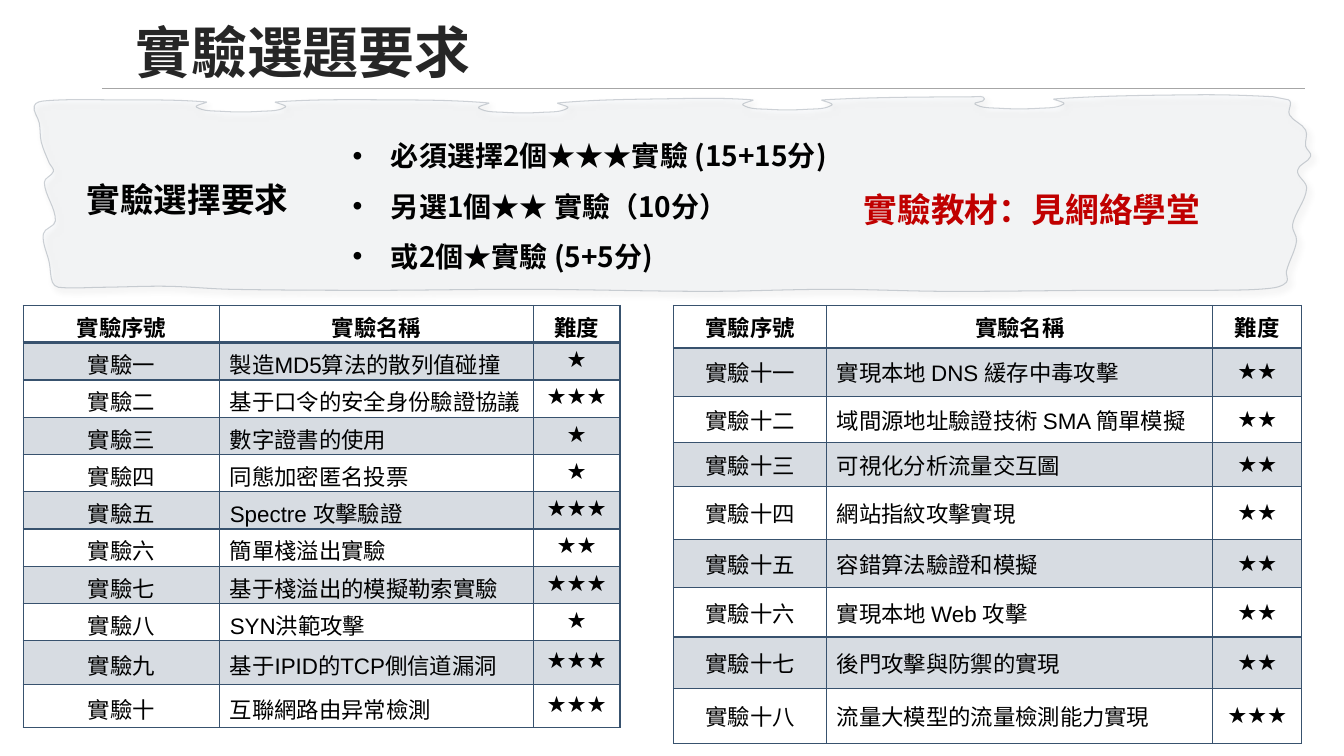
from math import cos, dist, radians, sin

from lxml import etree
from pptx import Presentation
from pptx.dml.color import RGBColor
from pptx.enum import text as tx
from pptx.oxml import ns
from pptx.util import Inches, Pt

WHITE = RGBColor(0xFF, 0xFF, 0xFF)
BLACK = RGBColor(0, 0, 0)
DARK = RGBColor(0x26, 0x26, 0x26)
RED = RGBColor(0xC0, 0, 0)
GREY = RGBColor(0xA6, 0xA6, 0xA6)
PAPER = RGBColor(0xCC, 0xD8, 0xE5)
EDGE = RGBColor(0x2A, 0x3D, 0x52)
NAVY = RGBColor(0x38, 0x52, 0x6E)
HAN = "Noto Sans CJK SC"
MID = tx.PP_ALIGN.CENTER

RIGHT = [(12.45, .05), (12.47, .08), (12.46, .2), (12.62, .35), (12.62, .51), (12.67, .61),
         (12.54, .75), (12.63, .93), (12.49, 1.29), (12.53, 1.45), (12.43, 1.75), (12.43, 1.86), (12.27, 1.92)]
BASE = [(11.69, 1.94), (10.65, 1.94), (9.04, 1.95), (7.92, 1.93), (6.68, 1.95),
        (4.91, 1.93), (3.4, 1.94), (1.96, 1.93), (1.33, 1.9), (.68, 1.91)]
LEFT = [(.25, 1.91), (.19, 1.86), (.16, 1.67), (.1, 1.38), (.22, 1.25), (.11, .87),
        (.2, .76), (.16, .68), (.08, .47), (.06, .28), (.01, .11), (.12, .06)]
HOLES = [(2.06, .17), (4.86, .18), (7.48, .15), (9.78, .14)]
GAPS = [(3.48, .05), (6.28, .04), (9.33, .02), (11.55, 0)]

FIRST = [("一", "製造MD5算法的散列值碰撞", 1), ("二", "基于口令的安全身份驗證協議", 3),
         ("三", "數字證書的使用", 1), ("四", "同態加密匿名投票", 1),
         ("五", "Spectre 攻擊驗證", 3), ("六", "簡單棧溢出實驗", 2),
         ("七", "基于棧溢出的模擬勒索實驗", 3), ("八", "SYN洪範攻擊", 1),
         ("九", "基于IPID的TCP側信道漏洞", 3), ("十", "互聯網路由异常檢測", 3)]
NEXT = [("十一", "實現本地 DNS 緩存中毒攻擊", 2), ("十二", "域間源地址驗證技術 SMA 簡單模擬", 2),
        ("十三", "可視化分析流量交互圖", 2), ("十四", "網站指紋攻擊實現", 2),
        ("十五", "容錯算法驗證和模擬", 2), ("十六", "實現本地 Web 攻擊", 2),
        ("十七", "後門攻擊與防禦的實現", 2), ("十八", "流量大模型的流量檢測能力實現", 3)]


def sub(node, tag, **attrs):
    """Append a DrawingML element."""
    return etree.SubElement(node, ns.qn("a:" + tag), attrs)


def fade(fill, node, color, pct):
    """Fill with a colour of the given opacity."""
    fill.solid()
    fill.fore_color.rgb = color
    hue = node.find(ns.qn("a:solidFill")).find(ns.qn("a:srgbClr"))
    sub(hue, "alpha", val=str(pct * 1000))


def style(para, size, color, bold=True, face=HAN):
    """Format every run of a paragraph."""
    for run in para.runs:
        font = run.font
        font.size, font.bold, font.name = Pt(size), bold, face
        font.color.rgb = color
        sub(font._element, "ea", typeface=HAN)


def bend(props):
    """Turn the straight sides of an outline into smooth curves."""
    marks = list(props.iter(ns.qn("a:pt")))
    pts = [(int(m.get("x")), int(m.get("y"))) for m in marks]
    slopes = []
    for a, b in zip(pts[-1:] + pts, pts[1:] + pts[:1]):
        span = dist(a, b) or 1
        slopes.append(((b[0] - a[0]) / span, (b[1] - a[1]) / span))
    for k, mark in enumerate(marks[1:]):
        a, b = pts[k:k + 2]
        reach = dist(a, b) / 3
        line = mark.getparent()
        curve = etree.Element(ns.qn("a:cubicBezTo"))
        for (x, y), (dx, dy), way in ((a, slopes[k], reach), (b, slopes[k + 1], -reach)):
            sub(curve, "pt", x=str(round(x + dx * way)), y=str(round(y + dy * way)))
        curve.append(mark)
        line.getparent().replace(line, curve)


def hole(mid, low):
    """Return the rounded dip of one punched hole."""
    turns = [radians(a) for a in range(220, -41, -52)]
    return [(mid + .45 * cos(a), low - .06 + .06 * sin(a)) for a in turns]


def paper(slide, x, y):
    """Draw the torn sheet behind the rules."""
    pts = RIGHT + BASE + LEFT + [(.75, .05)]
    for (mid, low), gap in zip(HOLES, GAPS):
        pts += hole(mid, low) + [gap]
    pts = [(Inches(x + a), Inches(y + b)) for a, b in pts + [(12.3, .02)]]
    pen = slide.shapes.build_freeform(*pts[0])
    pen.add_line_segments(pts[1:], close=True)
    sheet = pen.convert_to_shape()
    props = sheet._element.spPr
    bend(props)
    fade(sheet.fill, props, PAPER, 9)
    sheet.line.width = Pt(.75)
    fade(sheet.line.fill, props.find(ns.qn("a:ln")), EDGE, 21)
    cast = sub(sub(props, "effectLst"), "outerShdw", blurRad=str(Pt(4)),
               dist=str(Pt(3)), dir=str(45 * 60000), algn="tl", rotWithShape="0")
    sub(sub(cast, "srgbClr", val="000000"), "alpha", val="40000")


def head(slide, x, y, w, h):
    """Place the title and the rule under it."""
    title = slide.shapes.title
    title.left, title.top, title.width, title.height = map(Inches, (x, y, w, h))
    frame = title.text_frame
    frame.text = "實驗選題要求"
    frame.vertical_anchor = tx.MSO_ANCHOR.MIDDLE
    frame.auto_size = tx.MSO_AUTO_SIZE.NONE
    para = frame.paragraphs[0]
    para.alignment, para.line_spacing = tx.PP_ALIGN.LEFT, .9
    style(para, 40, DARK)
    ends = [Inches(v) for v in (x - .23, y + .73, x + 11.7, y + .73)]
    rule = slide.shapes.add_connector(1, *ends)
    rule.line.color.rgb, rule.line.width = GREY, Pt(1)
    sub(rule._element.spPr, "effectLst")


def note(slide, box, words, size, color=BLACK, align=None, list_=False):
    """Add a text box, as a bulleted list if asked."""
    frame = slide.shapes.add_textbox(*map(Inches, box)).text_frame
    frame.word_wrap = list_
    frame.text = words
    for para in frame.paragraphs:
        para.alignment = align
        if list_:
            para.line_spacing = 1.5
            props = para._p.get_or_add_pPr()
            props.set("marL", str(Inches(.38)))
            props.set("indent", str(-Inches(.38)))
            sub(props, "buFont", typeface="Arial")
            sub(props, "buChar", char="•")
        style(para, size, color)


def border(cell, top):
    """Rule all four sides of a cell."""
    props = cell._tc.get_or_add_tcPr()
    for k, side in enumerate("LRTB"):
        wide = 2 if top and side == "B" else 1
        line = etree.Element(ns.qn("a:ln" + side), w=str(Pt(wide)))
        sub(sub(line, "solidFill"), "srgbClr", val=str(NAVY))
        props.insert(k, line)


def grid(slide, x, y, cols, rows, tests, pads, stars):
    """Build one table of experiments with the given cell margins."""
    data = [("實驗序號", "實驗名稱", "難度")]
    data += [("實驗" + num, name, "★" * count) for num, name, count in tests]
    box = map(Inches, (x, y, sum(cols), sum(rows)))
    table = slide.shapes.add_table(len(rows), len(cols), *box).table
    table.horz_banding = False
    for col, w in zip(table.columns, cols):
        col.width = Inches(w)
    for i, (row, h, words) in enumerate(zip(table.rows, rows, data)):
        row.height = Inches(h)
        for j, (cell, word) in enumerate(zip(row.cells, words)):
            cell.text = word
            cell.vertical_anchor = tx.MSO_ANCHOR.MIDDLE
            cell.margin_top, cell.margin_bottom = map(Inches, stars if i and j == 2 else pads)
            para = cell.text_frame.paragraphs[0]
            para.alignment = tx.PP_ALIGN.LEFT if i and j == 1 else MID
            style(para, 16, BLACK, i == 0, "Arial")
            if i % 2:
                fade(cell.fill, cell._tc.get_or_add_tcPr(), NAVY, 20)
            else:
                cell.fill.background()
            border(cell, i == 0)


def main():
    """Build and save the slide."""
    deck = Presentation()
    deck.slide_width, deck.slide_height = Inches(13.33), Inches(7.5)
    slide = deck.slides.add_slide(deck.slide_layouts[5])
    slide.background.fill.solid()
    slide.background.fill.fore_color.rgb = WHITE
    head(slide, 1.24, .15, 7.32, .79)
    paper(slide, .33, .94)
    grid(slide, 6.68, 3.03, [1.52, 3.83, .88],
         [.37, .48, .46, .44, .52, .48, .49, .51, .55], NEXT, (.05, .05), (.05, .05))
    note(slide, (.75, 1.73, 2.22, .5), "實驗選擇要求", 24, align=MID)
    rules = "必須選擇2個★★★實驗 (15+15分)\n另選1個★★ 實驗（10分）\n或2個★實驗 (5+5分)"
    note(slide, (3.4, 1.16, 5.23, 1.61), rules, 20, list_=True)
    grid(slide, .23, 3.03, [1.95, 3.11, .86], [.37] * 9 + [.43] * 2, FIRST, (.05, 0), (0, .03))
    note(slide, (8.47, 1.83, 3.57, .5), "實驗教材：見網絡學堂", 24, RED)
    deck.save("out.pptx")


if __name__ == "__main__":
    main()
